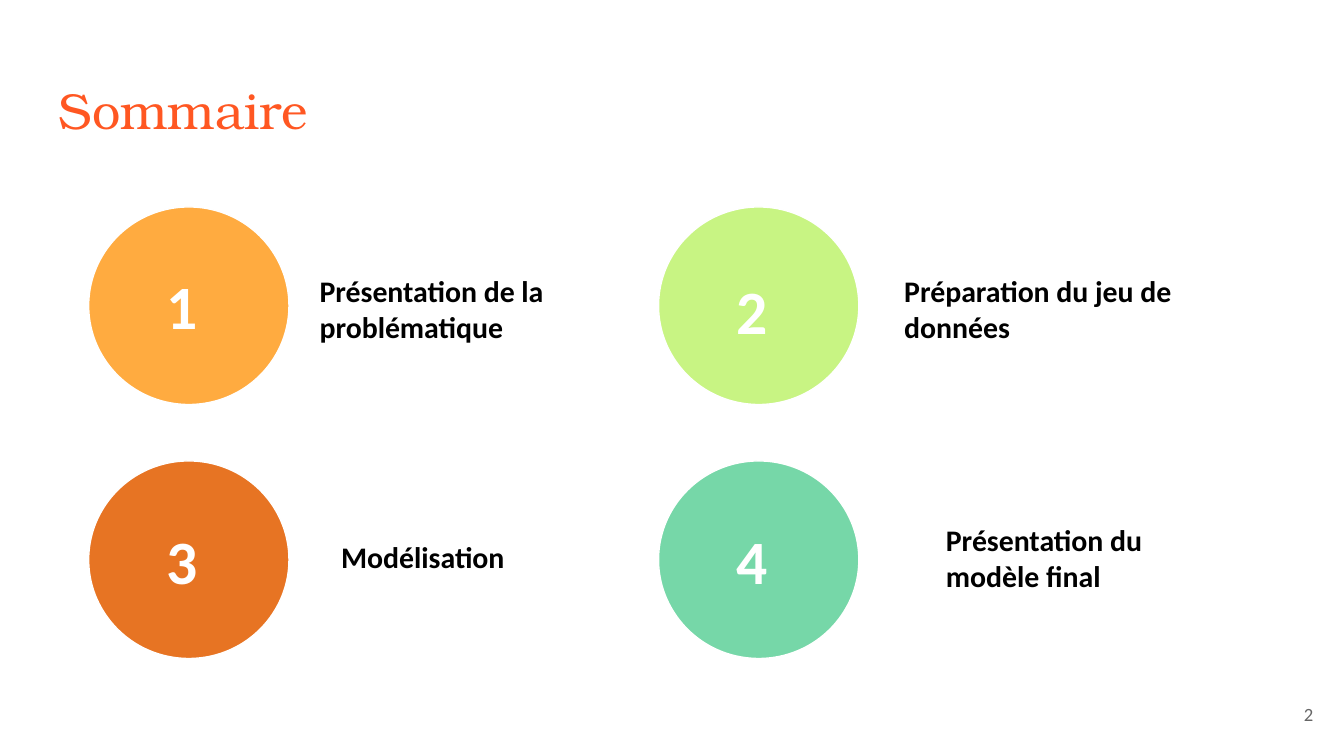
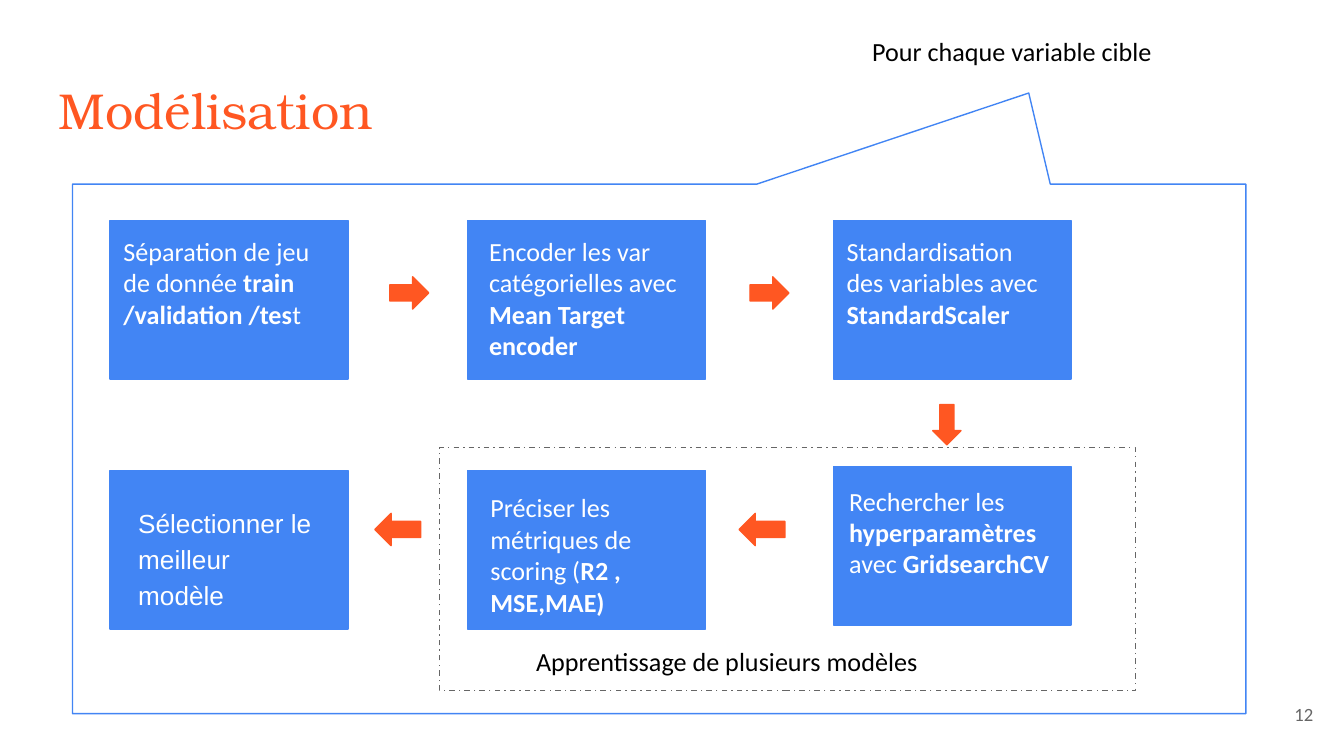
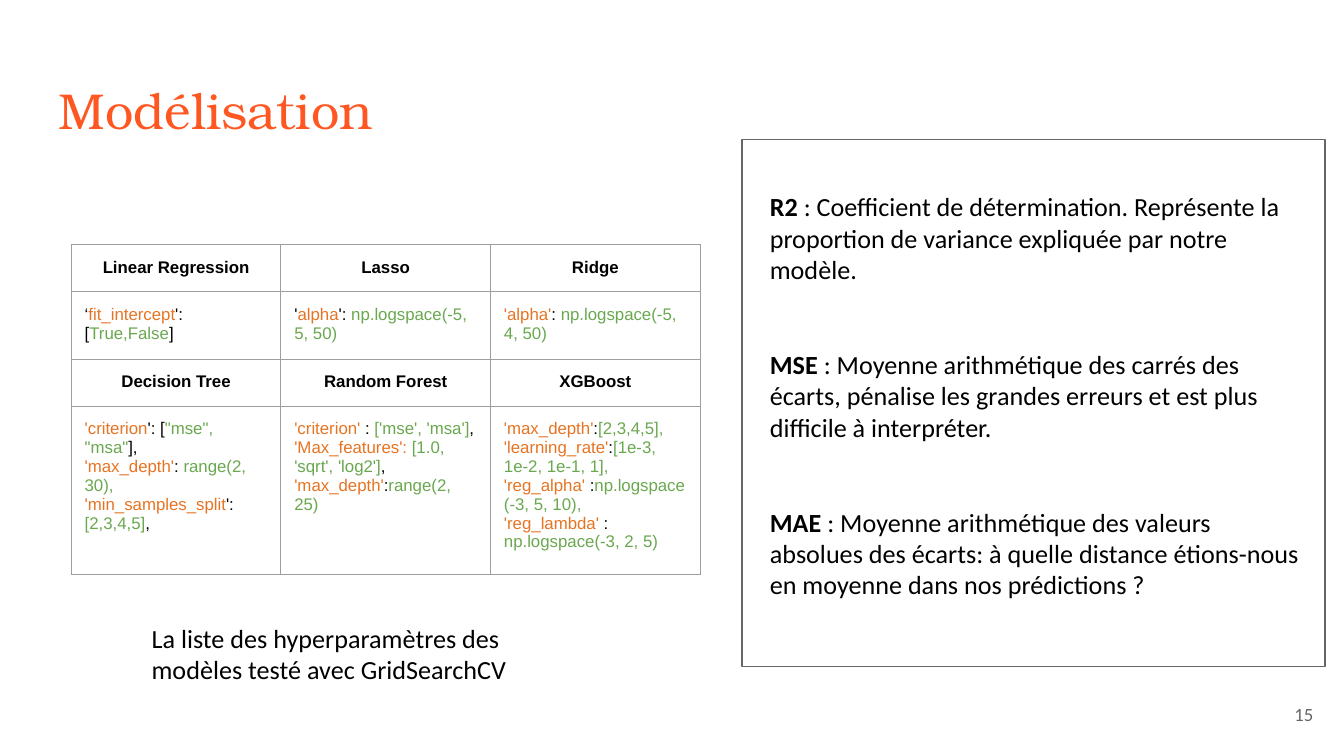
import typing

import lxml.etree
import pptx
import pptx.dml.color
import pptx.enum.dml
import pptx.enum.shapes
import pptx.enum.text
import pptx.oxml.ns
import pptx.util

Inches = pptx.util.Inches
Pt = pptx.util.Pt
RGBColor = pptx.dml.color.RGBColor
Kind = pptx.enum.shapes.MSO_SHAPE
Align = pptx.enum.text.PP_ALIGN
Fit = pptx.enum.text.MSO_AUTO_SIZE

WHITE = RGBColor(0xFF, 0xFF, 0xFF)
BLACK = RGBColor(0x00, 0x00, 0x00)
GREY = RGBColor(0x66, 0x66, 0x66)
RULE = RGBColor(0x9E, 0x9E, 0x9E)
CORAL = RGBColor(0xFF, 0x57, 0x22)
BLUE = RGBColor(0x42, 0x85, 0xF4)
AMBER = RGBColor(0xFF, 0xAB, 0x40)
LIME = RGBColor(0xC8, 0xF4, 0x83)
RUST = RGBColor(0xE7, 0x74, 0x23)
MINT = RGBColor(0x76, 0xD7, 0xA8)
GREEN = RGBColor(0x6A, 0xA8, 0x4F)

TITLE = {"name": "TeX Gyre Bonum", "size": Pt(27)}
FOOT = {"name": "Calibri", "size": Pt(10)}
BODY = {"name": "Calibri", "size": Pt(14)}
PLAIN = {"name": "Arial", "size": Pt(14)}
LABEL = {"name": "Calibri", "size": Pt(16)}
DIGIT = {"name": "Calibri", "size": Pt(33)}
CODE = {"name": "Arial", "size": Pt(9)}
PAD = {f"margin_{side}": Inches(0.1) for side in ("left", "top", "right", "bottom")}
GROW = {"auto_size": Fit.SHAPE_TO_FIT_TEXT}
MID = {"vertical_anchor": pptx.enum.text.MSO_ANCHOR.MIDDLE}
WIDE = Inches(10)


class Box(typing.NamedTuple):
    left: float
    top: float
    width: float
    height: float

    def spread(self) -> list:
        return [Inches(side) for side in self]


class Run(typing.NamedTuple):
    text: str
    hue: RGBColor = BLACK
    bold: bool = False


class Topic(typing.NamedTuple):
    text: str
    hue: RGBColor
    label: Box
    rise: float = 0.36


class Step(typing.NamedTuple):
    left: float
    top: float
    note: Box
    runs: list
    face: dict = BODY
    para: dict = {}


class Arrow(typing.NamedTuple):
    kind: Kind
    box: Box


Lines = list[list[Run]]


def key(text: str) -> Run:
    return Run(text, RUST)


def val(text: str) -> Run:
    return Run(text, GREEN)


def light(text: str) -> Run:
    return Run(text, WHITE)


def strong(text: str) -> Run:
    return Run(text, WHITE, True)


def put(thing: object, form: dict) -> None:
    for name, value in form.items():
        setattr(thing, name, value)


def write(frame, lines: Lines, face: dict, para: dict, gap: float = 0) -> None:
    for rank, line in enumerate(lines):
        part = frame.add_paragraph() if rank else frame.paragraphs[0]
        put(part, para)
        if rank and gap:
            part.space_before = Pt(gap)
        for item in line:
            run = part.add_run()
            run.text = item.text
            put(run.font, {**face, "bold": item.bold})
            run.font.color.rgb = item.hue


def add_text(slide, box: Box, lines: Lines, face: dict, para: dict = {},
             form: dict = GROW, gap: float = 0) -> None:
    frame = slide.shapes.add_textbox(*box.spread()).text_frame
    put(frame, {"word_wrap": True, **PAD, **form})
    write(frame, lines, face, para, gap)


def add_form(slide, kind: Kind, box: Box, fill: RGBColor | None, edge: RGBColor):
    form = slide.shapes.add_shape(kind, *box.spread())
    form.shadow.inherit = False
    if fill is None:
        form.fill.background()
    else:
        form.fill.solid()
        form.fill.fore_color.rgb = fill
    form.line.color.rgb = edge
    form.line.width = Pt(0.75)
    return form


def add_page(deck, title: str, page: int):
    slide = deck.slides.add_slide(deck.slide_layouts[6])
    add_text(slide, Box(0.34, 0.49, 9.32, 0.63), [[Run(title, CORAL)]], TITLE, form={})
    add_text(slide, Box(9.27, 5.1, 0.6, 0.43), [[Run(str(page), GREY)]], FOOT,
             {"alignment": Align.RIGHT}, MID)
    return slide


def add_rules(cell) -> None:
    props = cell._tc.get_or_add_tcPr()
    name = pptx.oxml.ns.qn
    for side in "LRTB":
        line = lxml.etree.SubElement(props, name(f"a:ln{side}"), w=str(Pt(0.75)))
        fill = lxml.etree.SubElement(line, name("a:solidFill"))
        lxml.etree.SubElement(fill, name("a:srgbClr"), val=str(RULE))


def add_grid(slide, box: Box, wide: float, highs: list[float],
             cells: list[list[Lines]]) -> None:
    holder = slide.shapes.add_table(len(cells), len(cells[0]), *box.spread())
    table = holder.table
    put(table, {"first_row": False, "horz_banding": False})
    for column in table.columns:
        column.width = Inches(wide)
    for row, high in zip(table.rows, highs):
        row.height = Inches(high)
    put(holder, {"width": Inches(box.width), "height": Inches(box.height)})
    for down, line in enumerate(cells):
        para = {"alignment": Align.LEFT if down % 2 else Align.CENTER}
        for along, lines in enumerate(line):
            cell = table.cell(down, along)
            put(cell, PAD)
            add_rules(cell)
            cell.fill.background()
            write(cell.text_frame, lines, CODE, para)


def heads(*names: str) -> list[Lines]:
    return [[[Run(name, bold=True)]] for name in names]


TOPICS = [
    Topic("Présentation de la problématique", AMBER, Box(2.28, 1.93, 2.37, 0.74), 0.35),
    Topic("Préparation du jeu de données", LIME, Box(6.63, 1.93, 2.37, 0.74), 0.39),
    Topic("Modélisation", RUST, Box(2.44, 3.91, 1.78, 0.47)),
    Topic("Présentation du modèle final", MINT, Box(6.94, 3.78, 2.06, 0.74)),
]

STEPS = [
    Step(0.82, 1.64, Box(0.82, 1.65, 1.7, 1.14),
         [light("Séparation de jeu de donnée "), strong("train /validation /tes"), light("t")]),
    Step(3.48, 1.64, Box(3.54, 1.65, 1.65, 1.14),
         [light("Encoder les var catégorielles avec"), strong(" Mean Target encoder")]),
    Step(6.2, 1.64, Box(6.2, 1.65, 1.65, 1.14),
         [light("Standardisation des variables avec "), strong("StandardScaler")]),
    Step(6.2, 3.47, Box(6.22, 3.51, 1.77, 1.14),
         [light("Rechercher les "), strong("hyperparamètres"), light(" avec "),
          strong("GridsearchCV")]),
    Step(3.48, 3.5, Box(3.55, 3.56, 1.63, 1.14),
         [light("Préciser les métriques de scoring ("), strong("R2 , MSE,MAE)")]),
    Step(0.82, 3.5, Box(0.93, 3.64, 1.51, 0.98),
         [light("Sélectionner le meilleur modèle")], PLAIN, {"line_spacing": 1.15}),
]

ARROWS = [
    Arrow(Kind.RIGHT_ARROW, Box(2.9, 2.06, 0.29, 0.24)),
    Arrow(Kind.RIGHT_ARROW, Box(5.58, 2.06, 0.29, 0.24)),
    Arrow(Kind.DOWN_ARROW, Box(6.94, 3.01, 0.21, 0.3)),
    Arrow(Kind.LEFT_ARROW, Box(5.5, 3.82, 0.34, 0.24)),
    Arrow(Kind.LEFT_ARROW, Box(2.79, 3.82, 0.34, 0.24)),
]

MODELS = [
    heads("Linear Regression", "Lasso", "Ridge"),
    [
        [[Run("‘"), key("fit_intercept"), Run("':["), val("True,False"), Run("]")]],
        [[Run("'"), key("alpha"), Run("': "), val("np.logspace(-5, 5, 50)")]],
        [[key("'alpha'"), Run(": "), val("np.logspace(-5, 4, 50)")]],
    ],
    heads("Decision Tree", "Random Forest", "XGBoost"),
    [
        [
            [key("'criterion"), Run("': ["), val('"mse", "msa"'), Run("],")],
            [key("'max_depth'"), Run(": "), val("range(2, 30),")],
            [key("'min_samples_split"), Run("': "), val("[2,3,4,5]"), Run(",")],
        ],
        [
            [key("'criterion'"), Run(" : "), val("['mse', 'msa']"), Run(",")],
            [key("'Max_features': "), val("[1.0, 'sqrt', 'log2']"), Run(",")],
            [key("'max_depth'"), Run(":"), val("range(2, 25)")],
        ],
        [
            [key("'max_depth'"), Run(":"), val("[2,3,4,5],")],
            [key("'learning_rate'"), Run(":"), val("[1e-3, 1e-2, 1e-1, 1],")],
            [key("'reg_alpha'"), Run(" :"), val("np.logspace(-3, 5, 10),")],
            [key("'reg_lambda'"), Run(" :"), val(" np.logspace(-3, 2, 5)")],
        ],
    ],
]

SCORES = {
    "R2 ": ": Coefficient de détermination. Représente la proportion de variance "
           "expliquée par notre modèle.",
    "MSE ": ": Moyenne arithmétique des carrés des écarts, pénalise les grandes "
            "erreurs et est plus difficile à interpréter.",
    "MAE ": ": Moyenne arithmétique des valeurs absolues des écarts: à quelle "
            "distance étions-nous en moyenne dans nos prédictions ?",
}


def draw_topics(deck) -> None:
    slide = add_page(deck, "Sommaire", 2)
    for rank, topic in enumerate(TOPICS):
        left = 0.66 + rank % 2 * 4.24
        top = 1.54 + rank // 2 * 1.89
        add_form(slide, Kind.OVAL, Box(left, top, 1.49, 1.47), topic.hue, WHITE)
        add_text(slide, topic.label, [[Run(topic.text, bold=True)]], LABEL)
        add_text(slide, Box(left + 0.48, top + topic.rise, 0.53, 0.76),
                 [[strong(str(rank + 1))]], DIGIT)


def draw_steps(deck) -> None:
    slide = add_page(deck, "Modélisation", 12)
    bubble = add_form(slide, Kind.RECTANGULAR_CALLOUT, Box(0.54, 1.37, 8.73, 3.94), None, BLUE)
    bubble.adjustments[0] = 0.315
    bubble.adjustments[1] = -0.672
    group = add_form(slide, Kind.RECTANGLE, Box(3.27, 3.33, 5.18, 1.81), None, GREY)
    group.line.dash_style = pptx.enum.dml.MSO_LINE.DASH_DOT
    for step in STEPS:
        add_form(slide, Kind.RECTANGLE, Box(step.left, step.top, 1.77, 1.18), BLUE, BLUE)
        add_text(slide, step.note, [step.runs], step.face, step.para)
    for arrow in ARROWS:
        add_form(slide, arrow.kind, arrow.box, CORAL, CORAL)
    add_text(slide, Box(3.89, 4.7, 4.56, 0.44),
             [[Run("Apprentissage de plusieurs modèles")]], BODY)
    add_text(slide, Box(6.39, 0.16, 2.79, 0.44), [[Run("Pour chaque variable cible")]], BODY)


def draw_models(deck) -> None:
    slide = add_page(deck, "Modélisation", 15)
    add_grid(slide, Box(0.53, 1.82, 3.28, 3.28), 1.56, [0.26, 0.4, 0.26, 1.23], MODELS)
    scores = [[Run(name, bold=True), Run(text)] for name, text in SCORES.items()]
    add_text(slide, Box(5.63, 1.32, 4.17, 3.74), scores, BODY, gap=34)
    add_text(slide, Box(1.03, 4.53, 3.47, 0.67),
             [[Run("La liste des hyperparamètres des modèles testé avec GridSearchCV")]], BODY)
    add_form(slide, Kind.RECTANGLE, Box(5.52, 1.04, 4.34, 3.92), None, GREY)


def main() -> None:
    deck = pptx.Presentation()
    put(deck, {"slide_width": WIDE, "slide_height": WIDE * 9 // 16})
    for draw in (draw_topics, draw_steps, draw_models):
        draw(deck)
    deck.save("out.pptx")


if __name__ == "__main__":
    main()
